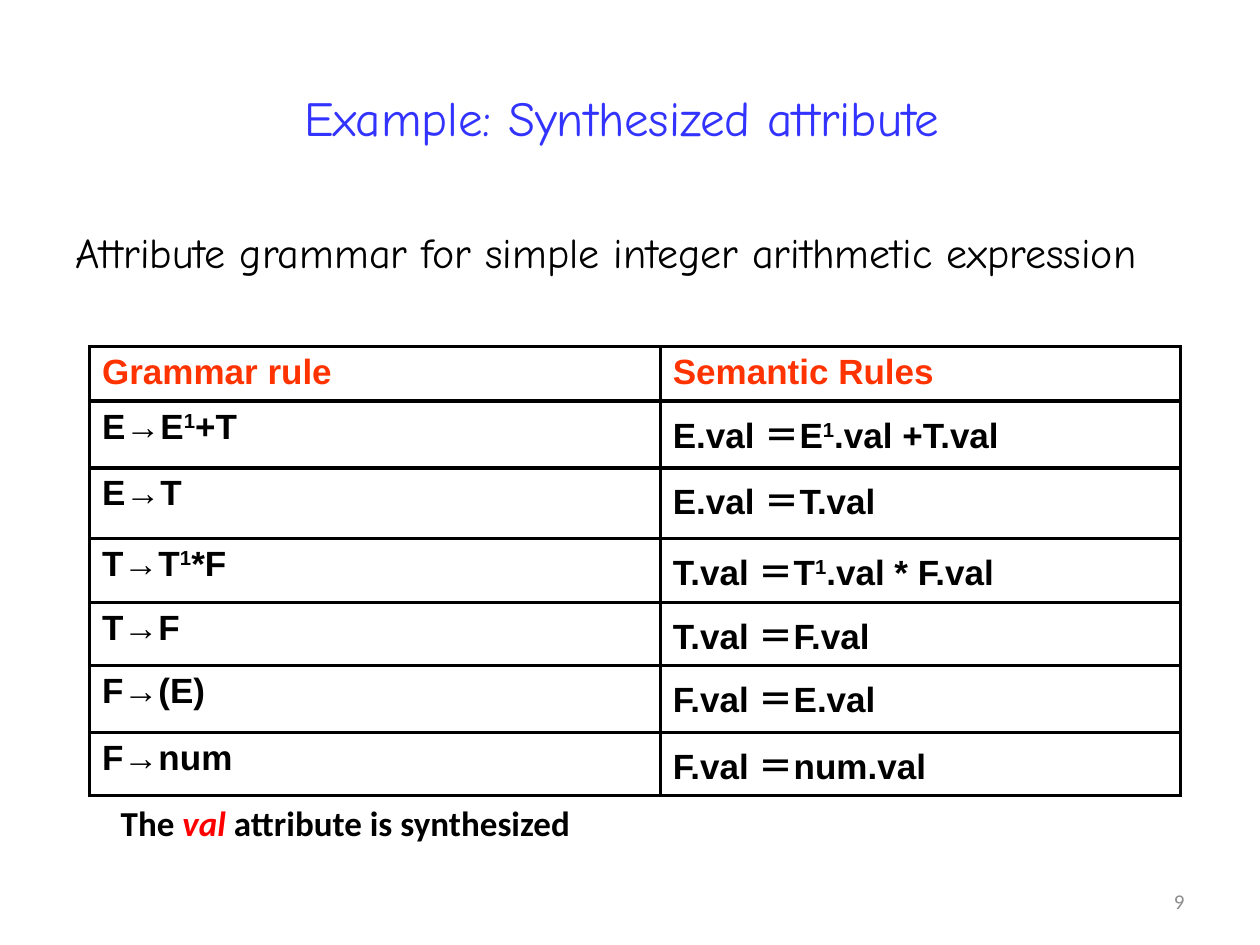
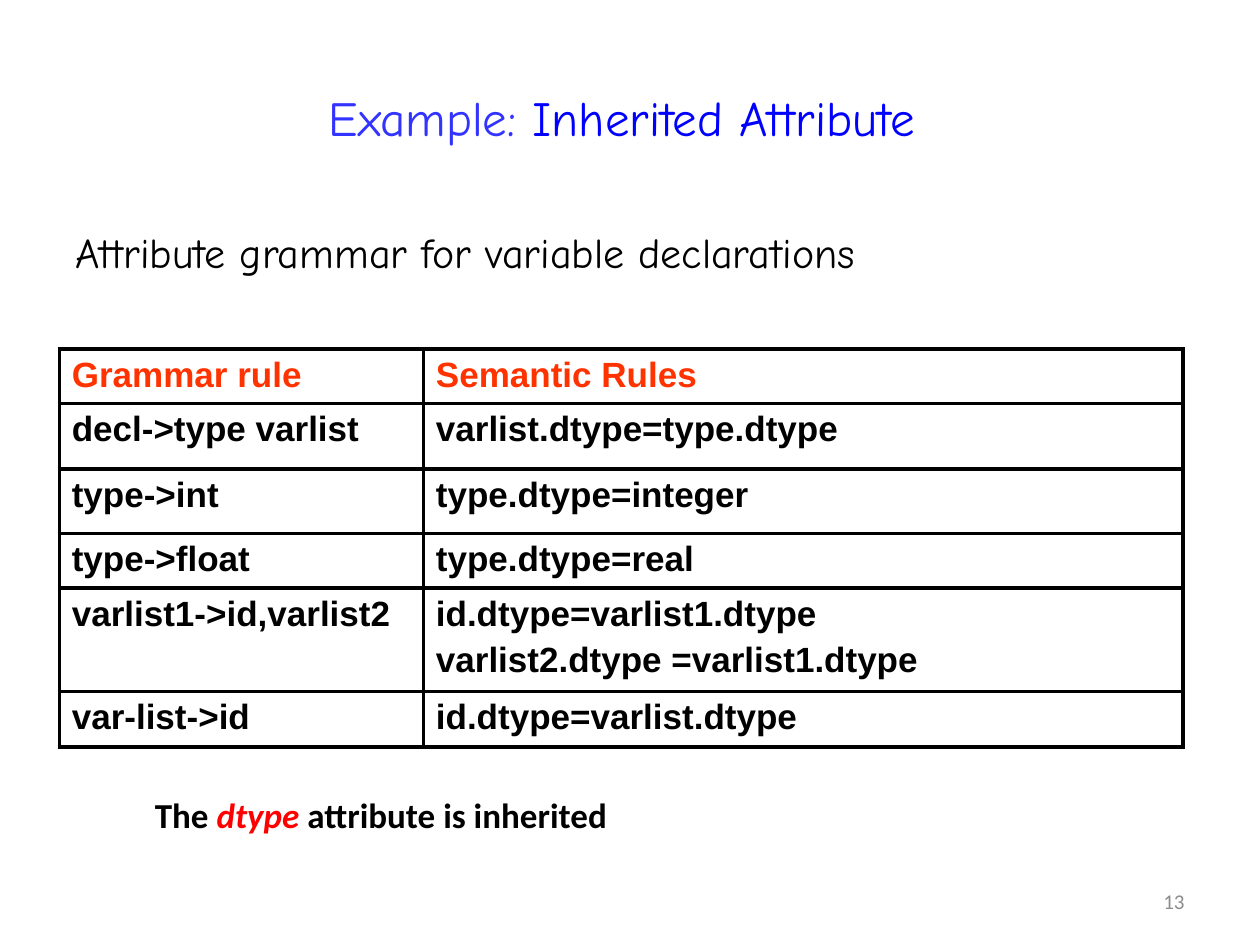
from lxml import etree
from pptx import Presentation
from pptx.dml.color import RGBColor
from pptx.enum.text import MSO_ANCHOR, PP_ALIGN
from pptx.oxml import parse_xml
from pptx.util import Inches, Pt

MIDDLE, TOP = MSO_ANCHOR.MIDDLE, MSO_ANCHOR.TOP
LEFT, CENTER, RIGHT = PP_ALIGN.LEFT, PP_ALIGN.CENTER, PP_ALIGN.RIGHT
NS = "http://schemas.openxmlformats.org/drawingml/2006/main"
HAND, SANS, PLAIN = "Comic Neue", "Arial", "Calibri"
BLACK, GREY, RED, HEAD = "000000", "8C8C8C", "FF0000", "FF3300"
INDIGO, BLUE = "3333FF", "0000FF"


def write(frame, text, size, face, color, bold=False, accent=None):
    """Fill a frame; pieces between bars get the accent colour, or are raised."""
    for n, line in enumerate(text.split("\n")):
        para = frame.add_paragraph() if n else frame.paragraphs[0]
        if n:
            para.space_before = Pt(4)
        font = para.font
        font.size, font.name, font.bold = Pt(size), face, bold
        font.color.rgb = RGBColor.from_string(color)
        for k, piece in enumerate(line.split("|")):
            run = para.add_run()
            run.text = piece
            if k % 2 and accent:
                run.font.color.rgb = RGBColor.from_string(accent)
            elif k % 2:
                run.font._element.set("baseline", "30000")


def add_box(slide, place, align=LEFT, anchor=TOP, wrap=True):
    frame = slide.shapes.add_textbox(*map(Inches, place)).text_frame
    frame.word_wrap = wrap
    frame.vertical_anchor = anchor
    frame.paragraphs[0].alignment = align
    return frame


pages = [
    {
        "title": "Example: Synthesized attribute ",
        "lead": "Attribute grammar for simple integer arithmetic expression",
        "corner": (0.71, 2.75),
        "cols": [4.53, 4.13],
        "heights": [0.41, 0.53, 0.56, 0.51, 0.5, 0.53, 0.5],
        "rules": [
            ("E→E|1|+T", "E.val ＝E|1|.val +T.val"),
            ("E→T", "E.val ＝T.val"),
            ("T→T|1|*F", "T.val ＝T|1|.val * F.val"),
            ("T→F", "T.val ＝F.val"),
            ("F→(E)", "F.val ＝E.val"),
            ("F→num", "F.val ＝num.val"),
        ],
        "note": "The |val| attribute is synthesized",
        "spot": (0.86, 6.31, 3.8, 0.44),
        "number": "9",
    },
    {
        "title": "Example: |Inherited Attribute ",
        "lead": "Attribute grammar for variable declarations",
        "corner": (0.47, 2.77),
        "cols": [2.89, 6.03],
        "heights": [0.43, 0.52, 0.51, 0.43, 0.82, 0.44],
        "rules": [
            ("decl->type varlist", "varlist.dtype=type.dtype"),
            ("type->int", "type.dtype=integer"),
            ("type->float", "type.dtype=real"),
            ("varlist1->id,varlist2",
             "id.dtype=varlist1.dtype\nvarlist2.dtype =varlist1.dtype"),
            ("var-list->id", "id.dtype=varlist.dtype"),
        ],
        "note": "The |dtype| attribute is inherited",
        "spot": (1.13, 6.25, 3.82, 0.44),
        "number": "13",
    },
]

deck = Presentation()
deck.slide_width, deck.slide_height = Inches(10), Inches(7.5)

for page in pages:
    slide = deck.slides.add_slide(deck.slide_layouts[6])
    title = add_box(slide, (0.5, 0.3, 9, 1.25), CENTER, MIDDLE)
    write(title, page["title"], 28, HAND, INDIGO, accent=BLUE)
    lead = add_box(slide, (0.5, 1.75, 9, 0.6))
    write(lead, page["lead"], 24, HAND, BLACK)

    rows = [("Grammar rule", "Semantic Rules")] + page["rules"]
    cols, heights = page["cols"], page["heights"]
    size = sum(cols), sum(heights)
    table = slide.shapes.add_table(
        len(rows), len(cols), *map(Inches, page["corner"] + size)).table
    table.first_row = table.horz_banding = False
    for col, width in zip(table.columns, cols):
        col.width = Inches(width)
    for r, (row, height) in enumerate(zip(rows, heights)):
        table.rows[r].height = Inches(height)
        for c, text in enumerate(row):
            cell = table.cell(r, c)
            write(cell.text_frame, text, 20, SANS, BLACK if r else HEAD, True)
            props = cell._tc.get_or_add_tcPr()
            for side in "LRTB":
                props.append(parse_xml(
                    f'<a:ln{side} xmlns:a="{NS}" w="{Pt(2.25)}"><a:solidFill>'
                    f'<a:srgbClr val="{BLACK}"/></a:solidFill></a:ln{side}>'))
            cell.fill.background()

    note = add_box(slide, page["spot"], wrap=False)
    write(note, page["note"], 20, PLAIN, BLACK, True, RED)
    note.paragraphs[0].runs[1].font.italic = True
    number = add_box(slide, (7.17, 6.95, 2.33, 0.4), RIGHT, MIDDLE)
    write(number, page["number"], 12, PLAIN, GREY)

deck.save("out.pptx")
